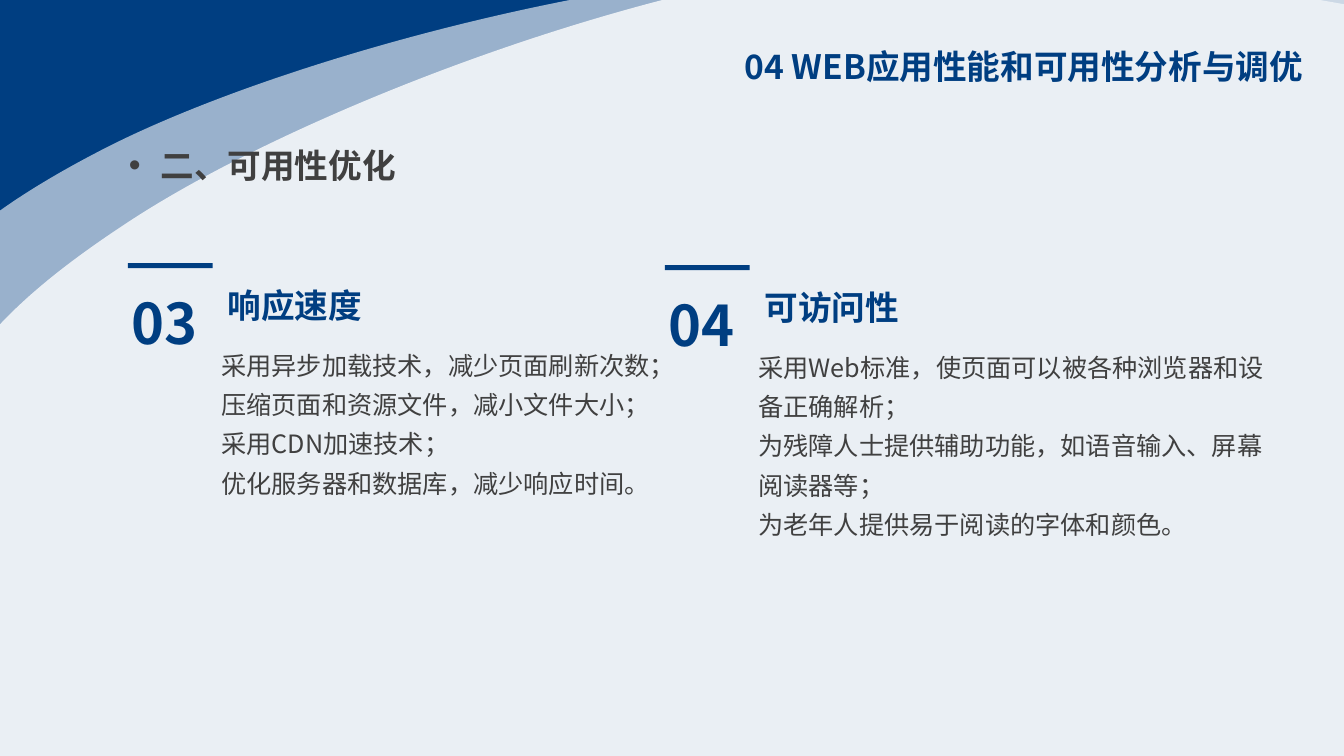
from dataclasses import dataclass

from lxml import etree
from pptx import Presentation
from pptx.dml.color import RGBColor
from pptx.enum.shapes import MSO_SHAPE
from pptx.enum.text import MSO_ANCHOR, MSO_AUTO_SIZE, PP_ALIGN
from pptx.oxml.ns import qn
from pptx.util import Pt

RECT = MSO_SHAPE.RECTANGLE
TOP, MIDDLE = MSO_ANCHOR.TOP, MSO_ANCHOR.MIDDLE
LEFT, RIGHT = PP_ALIGN.LEFT, PP_ALIGN.RIGHT
NO_FIT = MSO_AUTO_SIZE.NONE


@dataclass(frozen=True)
class Theme:
    navy: RGBColor = RGBColor(0x00, 0x3E, 0x81)
    white: RGBColor = RGBColor(0xFF, 0xFF, 0xFF)
    ink: RGBColor = RGBColor(0x40, 0x40, 0x40)
    font: str = "Noto Sans CJK SC"
    heading: int = 24
    body: int = 18
    number: int = 40


THEME = Theme()
BACKDROP_ID = 101

WAVES = [
    (60, (-97, 280), [
        ((-73, 214), (-44, 168), (69, 109)),
        ((181, 50), (406, -14), (585, -23)),
        ((765, -32), (1034, -1), (1146, 59)),
        ((1259, 118), (1387, 300), (1309, 393)),
        ((1230, 487), (816, 670), (585, 689)),
        ((354, 708), (37, 565), (-75, 505)),
        ((-188, 446), (-121, 346), (-97, 280)),
    ]),
    (80, (-60, 348), [
        ((-43, 279), (-18, 231), (88, 161)),
        ((194, 90), (410, 3), (588, -24)),
        ((766, -50), (1036, -48), (1154, 0)),
        ((1272, 48), (1419, 215), (1350, 316)),
        ((1282, 418), (888, 642), (661, 684)),
        ((433, 726), (103, 617), (-15, 570)),
        ((-133, 523), (-77, 416), (-60, 348)),
    ]),
]

TOPICS = [
    ("03", "响应速度", (91.4, 188, 383.8, 170), [
        "采用异步加载技术，减少页面刷新次数；",
        "压缩页面和资源文件，减小文件大小；",
        "采用CDN加速技术；",
        "优化服务器和数据库，减少响应时间。",
    ]),
    ("04", "可访问性", (475, 189.4, 445.7, 198), [
        "采用Web标准，使页面可以被各种浏览器和设备正确解析；",
        "为残障人士提供辅助功能，如语音输入、屏幕阅读器等；",
        "为老年人提供易于阅读的字体和颜色。",
    ]),
]


def place(sp, x, y, w, h):
    sp.left, sp.top, sp.width, sp.height = Pt(x), Pt(y), Pt(w), Pt(h)


def paint(sp, color):
    sp.shadow.inherit = False
    sp.line.fill.background()
    sp.fill.solid()
    sp.fill.fore_color.rgb = color


def write(sp, lines, size, color, bold=False, align=LEFT, anchor=TOP,
          spacing=1.3, wrap=True, bullet=None, indent=0):
    tf = sp.text_frame
    tf.auto_size = NO_FIT
    tf.word_wrap = wrap
    tf.vertical_anchor = anchor
    tf.margin_left = tf.margin_right = Pt(7.2)
    tf.margin_top = tf.margin_bottom = Pt(3.6)
    for i, line in enumerate(lines):
        p = tf.add_paragraph() if i else tf.paragraphs[0]
        p.alignment = align
        p.line_spacing = spacing
        p.space_before = p.space_after = Pt(0)
        pPr = p._p.get_or_add_pPr()
        pPr.set("marL", str(Pt(indent)))
        pPr.set("indent", str(-Pt(indent)))
        if bullet:
            etree.SubElement(pPr, qn("a:buFont")).set("typeface", "Arial")
            etree.SubElement(pPr, qn("a:buChar")).set("char", bullet)
        else:
            etree.SubElement(pPr, qn("a:buNone"))
        r = p.add_run()
        r.text = line
        r.font.size = Pt(size)
        r.font.bold = bold
        r.font.color.rgb = color
        r.font.name = THEME.font
        etree.SubElement(r.font._element, qn("a:ea")).set("typeface", THEME.font)


def add_wave(s, opacity, start, curves):
    builder = s.shapes.build_freeform(Pt(start[0]), Pt(start[1]))
    builder.add_line_segments([(Pt(x), Pt(y)) for _, _, (x, y) in curves])
    wave = builder.convert_to_shape()
    for line, curve in zip(list(wave.element.iter(qn("a:lnTo"))), curves):
        line.tag = qn("a:cubicBezTo")
        line.remove(line[0])
        for x, y in curve:
            pt = etree.SubElement(line, qn("a:pt"))
            pt.set("x", str(Pt(x) - wave.left))
            pt.set("y", str(Pt(y) - wave.top))
    paint(wave, THEME.white)
    color = wave.element.spPr.find(qn("a:solidFill"))[0]
    etree.SubElement(color, qn("a:alpha")).set("val", str(opacity * 1000))
    return wave


def add_backdrop(s, box):
    base = s.shapes.add_shape(RECT, *map(Pt, box))
    paint(base, THEME.navy)
    parts = [base] + [add_wave(s, *wave) for wave in WAVES]
    front = s.slide_layout.placeholders[0].element
    for i, sp in enumerate(parts):
        next(sp.element.iter(qn("p:cNvPr"))).set("id", str(BACKDROP_ID + i))
        front.addprevious(sp.element)


def add_title(s, text, box):
    place(s.shapes.title, *box)
    write(s.shapes.title, [text], THEME.heading, THEME.navy, bold=True,
          align=RIGHT, anchor=MIDDLE, spacing=0.9)


def add_section(s, text, box):
    sp = s.shapes.add_textbox(*map(Pt, box))
    write(sp, [text], THEME.heading, THEME.ink, bold=True,
          bullet="•", indent=22.5)


def add_topic(s, heading_ph, list_ph, number, heading, lines, box):
    x, y, w, h = box
    rule = s.shapes.add_shape(RECT, Pt(x), Pt(y), Pt(60.5), Pt(3.6))
    paint(rule, THEME.navy)

    place(list_ph, x + 59.5, y + 52, w - 59.5, h - 52)
    write(list_ph, lines, THEME.body, THEME.ink)

    place(heading_ph, x + 64.1, y + 3.5, 111.6, 41)
    write(heading_ph, [heading], THEME.heading, THEME.navy, bold=True, wrap=False)

    sp = s.shapes.add_textbox(Pt(x - 4.5), Pt(y), Pt(64), Pt(64))
    write(sp, [number], THEME.number, THEME.navy, bold=True, wrap=False)


def main():
    prs = Presentation()
    prs.slide_width, prs.slide_height = Pt(960), Pt(540)
    s = prs.slides.add_slide(prs.slide_layouts.get_by_name("Comparison"))
    add_backdrop(s, (0, 0, 960, 540))
    add_title(s, "04 WEB应用性能和可用性分析与调优", (501.3, 20.2, 436.5, 56.9))
    add_section(s, "二、可用性优化", (85, 91.4, 467.3, 41))
    ph = {p.placeholder_format.idx: p for p in s.placeholders}
    for i, (number, heading, box, lines) in enumerate(TOPICS):
        add_topic(s, ph[2 * i + 1], ph[2 * i + 2], number, heading, lines, box)
    prs.save("out.pptx")


if __name__ == "__main__":
    main()
